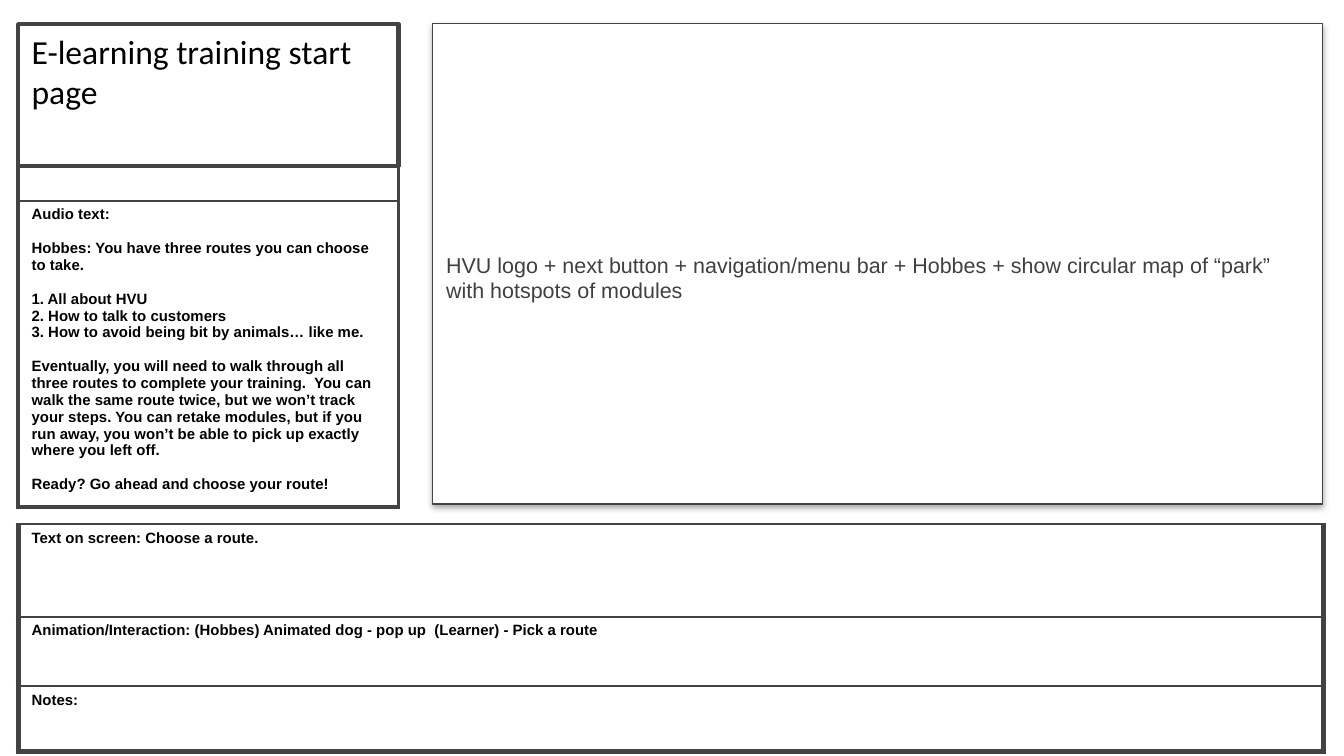
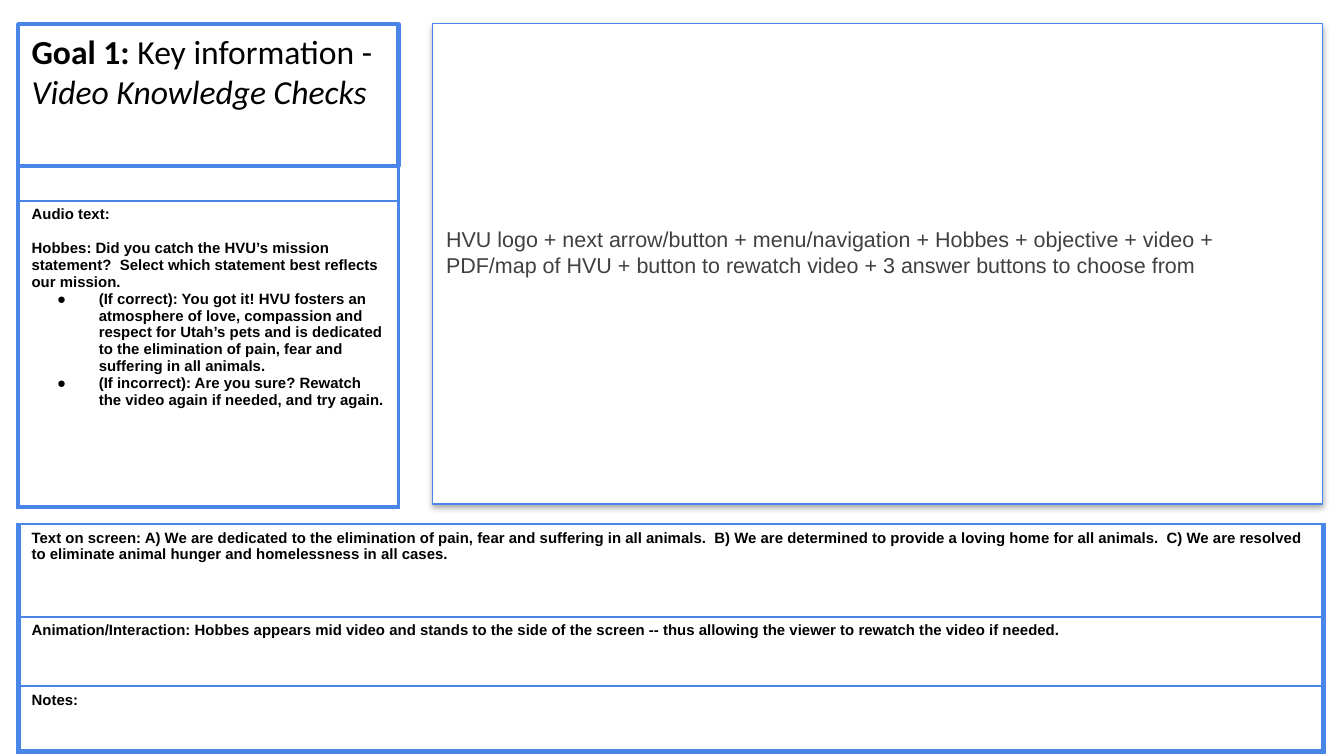
import dataclasses
import typing

import lxml.etree
import pptx
import pptx.dml.color
import pptx.enum.shapes
import pptx.enum.text
import pptx.oxml.ns
import pptx.slide
import pptx.util

# Shared look: 200 px to the inch
SCALE = 4572
GREY = pptx.dml.color.RGBColor(0x43, 0x43, 0x43)
BLUE = pptx.dml.color.RGBColor(0x4A, 0x86, 0xE8)
BLACK = pptx.dml.color.RGBColor(0, 0, 0)
WHITE = pptx.dml.color.RGBColor(0xFF, 0xFF, 0xFF)
SOFT = pptx.dml.color.RGBColor(0x40, 0x40, 0x40)
Pt = pptx.util.Pt
LEFT = pptx.enum.text.PP_ALIGN.LEFT
ANCHOR = pptx.enum.text.MSO_ANCHOR

HEAD = {"name": "Calibri", "size": Pt(18), "bold": False, "italic": False}
NOTE = {"name": "Arial", "size": Pt(8), "bold": True}
BODY = {"name": "Arial", "size": Pt(11.5), "bold": False}
LINE_GAP = Pt(9.1)


class Box(typing.NamedTuple):
    x: int
    y: int
    w: int
    h: int


class Run(typing.NamedTuple):
    text: str
    style: dict = {}


class Para(typing.NamedTuple):
    text: str
    gap: bool = False
    bullet: bool = False


class Grid(typing.NamedTuple):
    x: int
    y: int
    cols: list[int]
    rows: list[int]
    thick: float
    top: float


@dataclasses.dataclass
class Board:
    color: pptx.dml.color.RGBColor
    title: list[Run]
    audio: list[Para]
    stage: str
    pads: dict
    text: str
    action: str


TITLE = Box(27, 36, 566, 211)
STAGE = Box(644, 35, 1324, 715)
AUDIO = Grid(27, 247, [566], [52, 456], 2.25, 2.25)
NOTES = Grid(27, 780, [958, 984], [138, 103, 98], 3, 1)


def px(size: int) -> int:
    return size * SCALE


def put(target: typing.Any, values: dict) -> None:
    for name, value in values.items():
        setattr(target, name, value)


def node(parent: typing.Any, tag: str, **attrs: typing.Any) -> typing.Any:
    return lxml.etree.SubElement(parent, pptx.oxml.ns.qn(tag),
                                 {k: str(v) for k, v in attrs.items()})


def write(para: typing.Any, text: str, style: dict, color=BLACK) -> None:
    run = para.add_run()
    run.text = text
    put(run.font, style)
    run.font.color.rgb = color


def frame(shape: typing.Any, box: Box, color, width: float, pads: dict) -> None:
    """Place a white outlined box and set up its text area."""
    put(shape, dict(zip(("left", "top", "width", "height"), map(px, box))))
    shape.fill.solid()
    shape.fill.fore_color.rgb = WHITE
    shape.line.color.rgb = color
    shape.line.width = Pt(width)
    area = {"left": 20, "top": 10, "right": 20, "bottom": 10} | pads
    put(shape.text_frame, {f"margin_{k}": px(v) for k, v in area.items()})
    put(shape.text_frame, {"word_wrap": True,
                           "auto_size": pptx.enum.text.MSO_AUTO_SIZE.NONE})


def border(cell: typing.Any, color, widths: dict[str, float]) -> None:
    props = cell._tc.get_or_add_tcPr()
    for side, width in widths.items():
        line = node(props, f"a:ln{side}", w=int(Pt(width)))
        node(node(line, "a:solidFill"), "a:srgbClr", val=color)


def bullet(para: typing.Any) -> None:
    props = para._p.get_or_add_pPr()
    props.set("marL", str(px(100)))
    props.set("indent", str(px(-62)))
    node(node(props, "a:buClr"), "a:srgbClr", val=BLACK)
    node(props, "a:buSzPts", val=800)
    node(props, "a:buFont", typeface="Arial")
    node(props, "a:buChar", char="●")


def fill_cell(cell: typing.Any, paras: list[Para]) -> None:
    for i, item in enumerate(paras):
        para = cell.text_frame.add_paragraph() if i else cell.text_frame.paragraphs[0]
        write(para, item.text, NOTE)
        if item.gap:
            para.space_before = LINE_GAP
        if item.bullet:
            bullet(para)


def table(slide: pptx.slide.Slide, grid: Grid, color, texts: list[list[Para]]) -> None:
    """Draw a ruled table with one text per row."""
    tab = slide.shapes.add_table(
        len(grid.rows), len(grid.cols), px(grid.x), px(grid.y),
        px(sum(grid.cols)), px(sum(grid.rows))).table
    put(tab, {"first_row": False, "horz_banding": False})
    for col, width in zip(tab.columns, grid.cols):
        col.width = px(width)
    last = len(grid.rows) - 1
    for r, (height, paras) in enumerate(zip(grid.rows, texts)):
        tab.rows[r].height = px(height)
        for c in range(len(grid.cols)):
            cell = tab.cell(r, c)
            border(cell, color, {"L": grid.thick, "R": grid.thick,
                                 "T": 1 if r else grid.top,
                                 "B": grid.thick if r == last else 1})
            cell.fill.background()
            put(cell, {"margin_left": px(20), "margin_right": px(20),
                       "margin_top": px(8), "margin_bottom": px(8)})
            if c or not paras:
                node(cell.text_frame.paragraphs[0]._p, "a:endParaRPr", sz=800)
        if len(grid.cols) > 1:
            tab.cell(r, 0).merge(tab.cell(r, len(grid.cols) - 1))
        fill_cell(tab.cell(r, 0), paras)


def heading(slide: pptx.slide.Slide, board: Board) -> None:
    title = slide.shapes.title
    frame(title, TITLE, board.color, 2.25, {})
    title.text_frame.vertical_anchor = ANCHOR.TOP
    para = title.text_frame.paragraphs[0]
    put(para, {"alignment": LEFT, "space_before": Pt(5.4)})
    for run in board.title:
        write(para, run.text, HEAD | run.style)


def stage(slide: pptx.slide.Slide, board: Board) -> None:
    """Draw the shadowed screen area."""
    shape = slide.shapes.add_shape(
        pptx.enum.shapes.MSO_SHAPE.RECTANGLE, *map(px, STAGE))
    frame(shape, STAGE, board.color, 0.75, board.pads)
    shape.shadow.inherit = False
    effect = shape._element.spPr.find(pptx.oxml.ns.qn("a:effectLst"))
    shade = node(effect, "a:outerShdw", blurRad=int(Pt(3.1)), dist=int(Pt(1.8)),
                 dir=5400000, algn="ctr", rotWithShape=0)
    node(node(shade, "a:srgbClr", val=BLACK), "a:alpha", val=35000)
    shape.text_frame.vertical_anchor = ANCHOR.MIDDLE
    para = shape.text_frame.paragraphs[0]
    para.alignment = LEFT
    write(para, board.stage, BODY, SOFT)


# Content
BOARDS = [
    Board(
        GREY,
        [Run("E-learning training start page")],
        [Para("Audio text:"),
         Para("Hobbes: You have three routes you can choose to take.", gap=True),
         Para("1. All about HVU", gap=True),
         Para("2. How to talk to customers"),
         Para("3. How to avoid being bit by animals… like me."),
         Para("Eventually, you will need to walk through all three routes to "
              "complete your training.  You can walk the same route twice, but "
              "we won’t track your steps. You can retake modules, but if you run "
              "away, you won’t be able to pick up exactly where you left off.",
              gap=True),
         Para("Ready? Go ahead and choose your route!", gap=True)],
        "HVU logo + next button + navigation/menu bar + Hobbes + show circular "
        "map of “park” with hotspots of modules",
        {"top": 50},
        "Choose a route.",
        "(Hobbes) Animated dog - pop up  (Learner) - Pick a route",
    ),
    Board(
        BLUE,
        [Run("Goal 1: ", {"bold": True}), Run("Key information - "),
         Run("Video Knowledge Checks", {"italic": True})],
        [Para("Audio text:"),
         Para("Hobbes: Did you catch the HVU’s mission statement?  Select which "
              "statement best reflects our mission.", gap=True),
         Para("(If correct): You got it! HVU fosters an atmosphere of love, "
              "compassion and respect for Utah’s pets and is dedicated to the "
              "elimination of pain, fear and suffering in all animals.",
              bullet=True),
         Para("(If incorrect): Are you sure? Rewatch the video again if needed, "
              "and try again.", bullet=True)],
        "HVU logo + next arrow/button + menu/navigation + Hobbes + objective + "
        "video + PDF/map of HVU + button to rewatch video + 3 answer buttons to "
        "choose from",
        {"bottom": 46},
        "A) We are dedicated to the elimination of pain, fear and suffering in "
        "all animals.  B) We are determined to provide a loving home for all "
        "animals.  C) We are resolved to eliminate animal hunger and "
        "homelessness in all cases.",
        "Hobbes appears mid video and stands to the side of the screen -- thus "
        "allowing the viewer to rewatch the video if needed.",
    ),
]


def main() -> None:
    deck = pptx.Presentation()
    put(deck, {"slide_width": px(2000), "slide_height": px(1125)})
    for board in BOARDS:
        slide = deck.slides.add_slide(deck.slide_layouts.get_by_name("Title Only"))
        heading(slide, board)
        table(slide, AUDIO, board.color, [[], board.audio])
        table(slide, NOTES, board.color, [
            [Para(f"Text on screen: {board.text}")],
            [Para(f"Animation/Interaction: {board.action}")],
            [Para("Notes:")]])
        stage(slide, board)
    deck.save("out.pptx")


if __name__ == "__main__":
    main()
